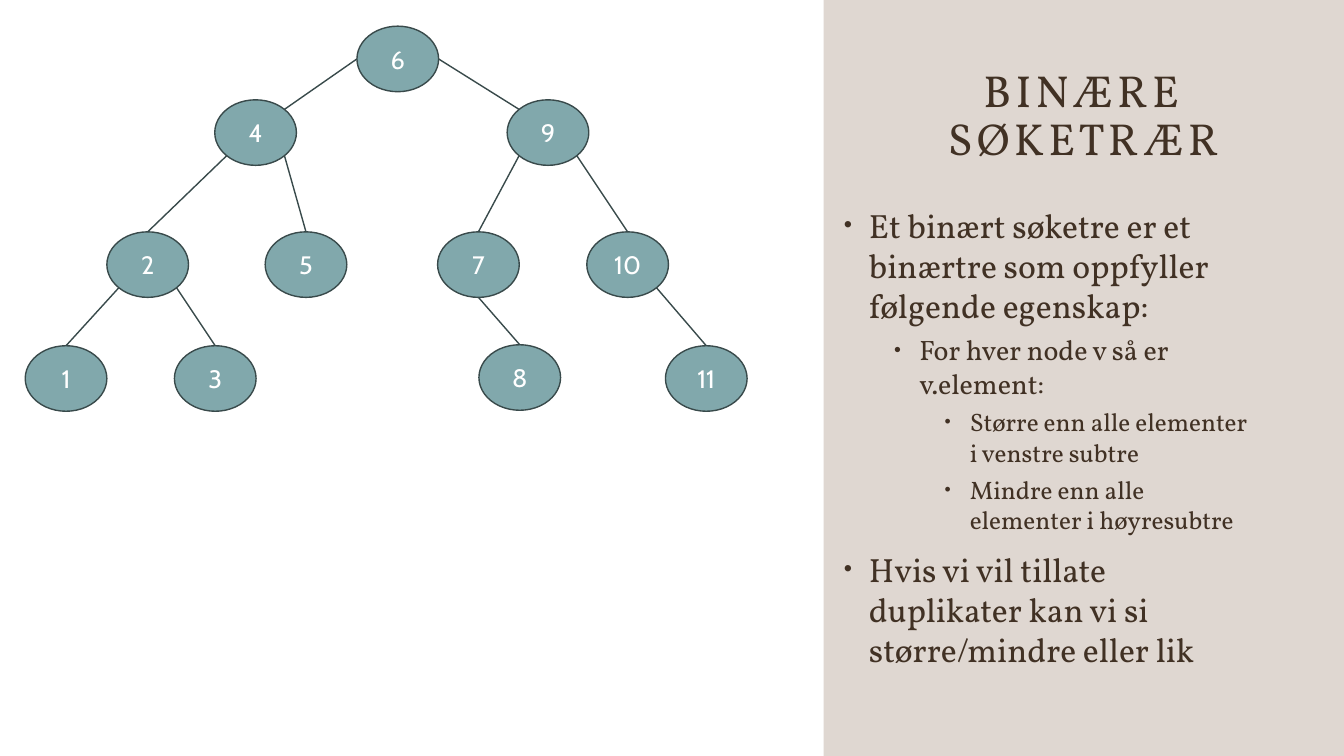
from math import sqrt

from lxml.etree import SubElement
from pptx import Presentation
from pptx.dml.color import RGBColor
from pptx.enum.shapes import MSO_CONNECTOR, MSO_SHAPE
from pptx.enum.text import MSO_ANCHOR, MSO_AUTO_SIZE, PP_ALIGN
from pptx.oxml.ns import qn
from pptx.util import Inches, Pt

WHITE = RGBColor(0xFF, 0xFF, 0xFF)
BROWN = RGBColor(0x41, 0x31, 0x24)
PANEL = RGBColor(0x83, 0x63, 0x48)
TEAL = RGBColor(0x81, 0xA8, 0xAC)
DARK_TEAL = RGBColor(0x39, 0x4A, 0x4B)

NODE_WIDTH, NODE_HEIGHT = 0.81, 0.65

# Node value: left and top of its ellipse
NODES = {
    6: (3.54, 0.26),
    4: (2.13, 0.99), 9: (5.03, 0.99),
    2: (1.06, 2.3), 5: (2.63, 2.3), 7: (4.34, 2.3), 10: (5.82, 2.3),
    1: (0.25, 3.43), 3: (1.73, 3.43), 8: (4.75, 3.42), 11: (6.6, 3.43),
}

# Points on an ellipse, as steps from its centre in half widths and half heights
DIAGONAL = 1 / sqrt(2)
TOP, BOTTOM, LEFT, RIGHT = (0, -1), (0, 1), (-1, 0), (1, 0)
TOP_LEFT, TOP_RIGHT = (-DIAGONAL, -DIAGONAL), (DIAGONAL, -DIAGONAL)
BOTTOM_LEFT, BOTTOM_RIGHT = (-DIAGONAL, DIAGONAL), (DIAGONAL, DIAGONAL)

# Parent, point on it, child, point on it
EDGES = [
    (6, LEFT, 4, TOP_RIGHT), (6, RIGHT, 9, TOP_LEFT),
    (4, BOTTOM_LEFT, 2, TOP), (4, BOTTOM_RIGHT, 5, TOP),
    (9, BOTTOM_LEFT, 7, TOP), (9, BOTTOM_RIGHT, 10, TOP),
    (2, BOTTOM_LEFT, 1, TOP), (2, BOTTOM_RIGHT, 3, TOP),
    (7, BOTTOM, 8, TOP), (10, BOTTOM_RIGHT, 11, TOP),
]

# Outline level and wording
BULLETS = [
    (0, "Et binært søketre er et binærtre som oppfyller følgende egenskap:"),
    (1, "For hver node v så er v.element:"),
    (2, "Større enn alle elementer i venstre subtre"),
    (2, "Mindre enn alle elementer i høyresubtre"),
    (0, "Hvis vi vil tillate duplikater kan vi si større/mindre eller lik"),
]
# Text size and space before, by level
LEVELS = [(24, 10), (20, 5), (18, 5)]


def node_point(value, point):
    """Return the position of a point on a node's outline."""
    left, top = NODES[value]
    x, y = point
    return (Inches(left + NODE_WIDTH / 2 * (1 + x)),
            Inches(top + NODE_HEIGHT / 2 * (1 + y)))


class TreeSlide:
    """Holds the style and the current slide."""

    text_font = "Vollkorn"
    node_font = "Cabin"
    line_width = Pt(1)

    def __init__(self, deck):
        """Add a title-only slide."""
        self.page = deck.slides.add_slide(deck.slide_layouts[5])

    def style(self, para, font, size, color):
        """Format every run of a paragraph."""
        for span in para.runs:
            span.font.name = font
            span.font.size = Pt(size)
            span.font.color.rgb = color

    def shape(self, kind, bounds, color):
        """Add a filled preset shape without shadow."""
        box = self.page.shapes.add_shape(kind, *map(Inches, bounds))
        box.shadow.inherit = False
        box.fill.solid()
        box.fill.fore_color.rgb = color
        return box

    def panel(self, bounds, opacity):
        """Add the translucent side panel behind the title."""
        box = self.shape(MSO_SHAPE.RECTANGLE, bounds, PANEL)
        box.line.fill.background()
        color = box.element.spPr.find(qn("a:solidFill"))[0]
        SubElement(color, qn("a:alpha"), val=str(opacity * 1000))
        self.page.shapes.title.element.addprevious(box.element)

    def title(self, text, bounds):
        """Place and format the title placeholder."""
        box = self.page.shapes.title
        box.left, box.top, box.width, box.height = map(Inches, bounds)
        frame = box.text_frame
        frame.text = text
        frame.word_wrap = True
        frame.auto_size = MSO_AUTO_SIZE.NONE
        frame.vertical_anchor = MSO_ANCHOR.BOTTOM
        para = frame.paragraphs[0]
        para.alignment = PP_ALIGN.CENTER
        para.line_spacing = 0.9
        self.style(para, self.text_font, 32, BROWN)
        for span in para.runs:
            span.font.element.set("spc", "300") if hasattr(span.font, "element") \
                else span._r.get_or_add_rPr().set("spc", "300")

    def bullets(self, items, bounds):
        """Add the bulleted outline."""
        frame = self.page.shapes.add_textbox(*map(Inches, bounds)).text_frame
        frame.text = "\n".join(text for _, text in items)
        frame.word_wrap = True
        for para, (level, _) in zip(frame.paragraphs, items):
            size, space = LEVELS[level]
            para.level = level
            para.space_before = Pt(space)
            self.style(para, self.text_font, size, BROWN)
            props = para._p.get_or_add_pPr()
            props.set("marL", str(Inches(0.25 + 0.5 * level)))
            props.set("indent", str(Inches(-0.25)))
            SubElement(props, qn("a:buSzPct"), val="70000")
            SubElement(props, qn("a:buFont"), typeface="Arial")
            SubElement(props, qn("a:buChar"), char="•")

    def node(self, value):
        """Add one tree node."""
        box = self.shape(MSO_SHAPE.OVAL, (*NODES[value], NODE_WIDTH, NODE_HEIGHT), TEAL)
        box.line.color.rgb = DARK_TEAL
        box.line.width = self.line_width
        frame = box.text_frame
        frame.text = str(value)
        frame.vertical_anchor = MSO_ANCHOR.MIDDLE
        para = frame.paragraphs[0]
        para.alignment = PP_ALIGN.CENTER
        self.style(para, self.node_font, 18, WHITE)

    def edge(self, parent, start, child, end):
        """Draw a line from a parent node to its child."""
        line = self.page.shapes.add_connector(
            MSO_CONNECTOR.STRAIGHT, *node_point(parent, start), *node_point(child, end))
        line.line.color.rgb = DARK_TEAL
        line.line.width = self.line_width
        SubElement(line._element.spPr, qn("a:effectLst"))


def main():
    """Build the slide and save it."""
    deck = Presentation()
    deck.slide_width, deck.slide_height = Inches(13.33), Inches(7.5)
    slide = TreeSlide(deck)
    slide.panel((8.17, 0, 5.17, 7.5), opacity=25)
    slide.title("BINÆRE SØKETRÆR", (8.89, 0.26, 3.71, 1.43))
    slide.bullets(BULLETS, (8.27, 1.98, 4.32, 4.92))
    for value in NODES:
        slide.node(value)
    for edge in EDGES:
        slide.edge(*edge)
    deck.save("out.pptx")


main()
